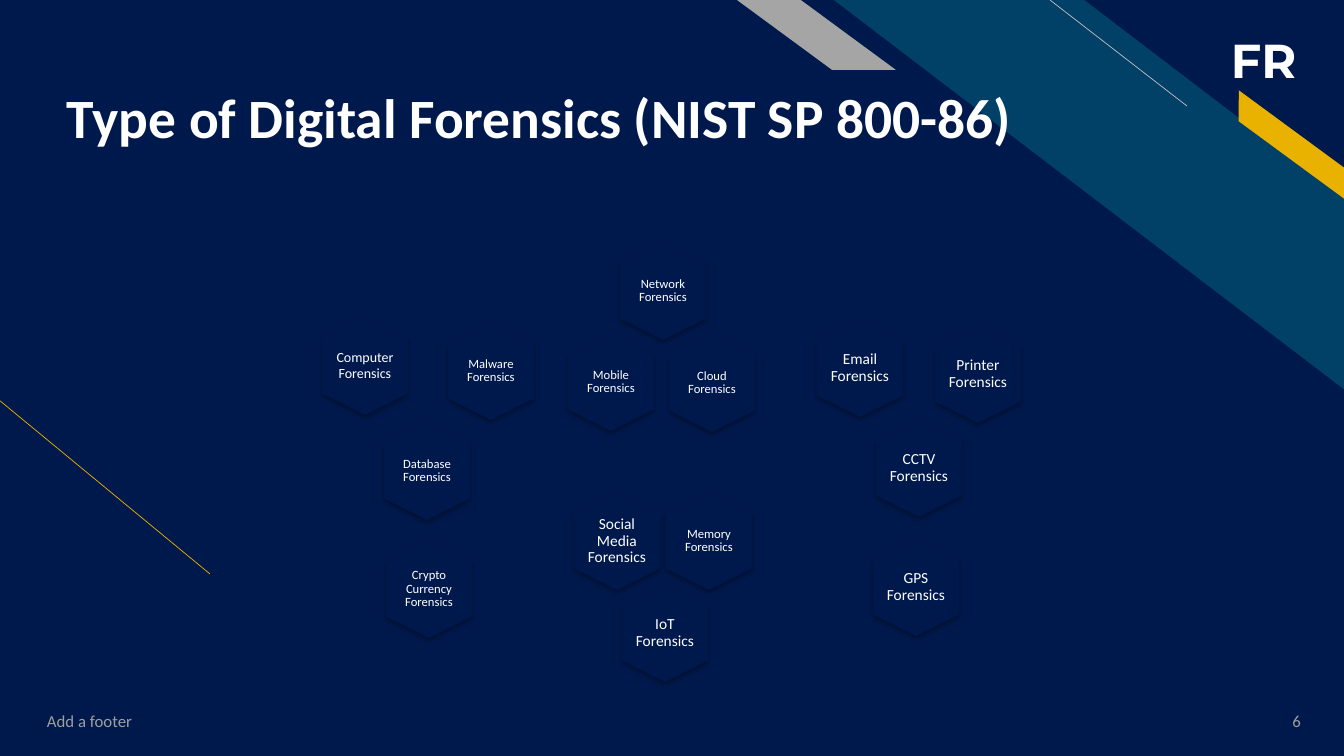
from typing import NamedTuple

from lxml import etree
from pptx import Presentation
from pptx.dml.color import RGBColor
from pptx.enum.shapes import MSO_CONNECTOR, MSO_SHAPE
from pptx.enum.text import MSO_ANCHOR, PP_ALIGN
from pptx.oxml.ns import qn
from pptx.util import Emu, Pt

EMU_PER_PX = 914400 / 100.8
COLORS = {
    "navy": "00194C", "teal": "014067", "gold": "EAB200", "silver": "BFBFBF",
    "grey": "A5A5A5", "footer": "9F9F9F", "white": "FFFFFF", "black": "000000",
}


class Box(NamedTuple):
    left: int
    top: int
    width: int
    height: int


class Stripe(NamedTuple):
    kind: MSO_SHAPE
    box: Box
    adjustment: float
    color: str
    rotation: float = 0


class Rule(NamedTuple):
    start: tuple[int, int]
    end: tuple[int, int]
    color: str


class Label(NamedTuple):
    text: str
    box: Box
    size: float
    color: str = "white"
    font: str = "Calibri"
    bold: bool = False
    align: PP_ALIGN = PP_ALIGN.LEFT
    anchor: MSO_ANCHOR = MSO_ANCHOR.MIDDLE
    insets: tuple[int, int, int, int] = (10, 5, 10, 5)
    spacing: float = 1.0
    wrap: bool = True


class Field(NamedTuple):
    name: str
    left: int
    top: int
    size: int


def px(value: float) -> Emu:
    return Emu(round(value * EMU_PER_PX))


def rgb(name: str) -> RGBColor:
    return RGBColor.from_string(COLORS[name])


def add_filled(kind: MSO_SHAPE, box: Box, adjustment: float, color: str, rotation: float):
    shape = slide.shapes.add_shape(kind, *map(px, box))
    shape.adjustments[0] = adjustment
    shape.rotation = rotation
    shape.fill.solid()
    shape.fill.fore_color.rgb = rgb(color)
    shape.line.fill.background()
    shape.shadow.inherit = False
    return shape


def add_stripe(stripe: Stripe) -> None:
    shape = add_filled(stripe.kind, stripe.box, stripe.adjustment, stripe.color, stripe.rotation)
    shape.element.spPr.get_or_add_xfrm().set("flipH", "1")


def add_rule(rule: Rule) -> None:
    line = slide.shapes.add_connector(MSO_CONNECTOR.STRAIGHT, *map(px, rule.start + rule.end))
    line.line.color.rgb = rgb(rule.color)
    line.line.width = Pt(0.5)
    etree.SubElement(line.element.spPr, qn("a:effectLst"))


def add_label(label: Label) -> None:
    frame = slide.shapes.add_textbox(*map(px, label.box)).text_frame
    frame.word_wrap = label.wrap
    frame.vertical_anchor = label.anchor
    (frame.margin_left, frame.margin_top,
     frame.margin_right, frame.margin_bottom) = map(px, label.insets)
    paragraph = frame.paragraphs[0]
    paragraph.alignment = label.align
    paragraph.line_spacing = label.spacing
    run = paragraph.add_run()
    run.text = label.text
    run.font.name = label.font
    run.font.size = Pt(label.size)
    run.font.bold = label.bold
    run.font.color.rgb = rgb(label.color)


def add_soft_shadow(shape) -> None:
    effects = shape.element.spPr.find(qn("a:effectLst"))
    shadow = etree.SubElement(effects, qn("a:outerShdw"), blurRad=str(Pt(3.5)),
                              dist=str(Pt(2.2)), dir="5400000", algn="ctr", rotWithShape="0")
    color = etree.SubElement(shadow, qn("a:srgbClr"), val=COLORS["black"])
    etree.SubElement(color, qn("a:alpha"), val="32000")


def add_field(field: Field) -> None:
    hexagon = add_filled(MSO_SHAPE.HEXAGON, Box(field.left, field.top, 98, 86), 0.25, "navy", 90)
    add_soft_shadow(hexagon)
    inset = 4 if field.size == 9 else 0
    add_label(Label(f"{field.name} Forensics", Box(field.left + 19, field.top + 9, 60, 68),
                    field.size, align=PP_ALIGN.CENTER, insets=(inset,) * 4, spacing=0.9))


prs = Presentation()
prs.slide_width, prs.slide_height = px(1344), px(756)
slide = prs.slides.add_slide(prs.slide_layouts[6])
slide.background.fill.solid()
slide.background.fill.fore_color.rgb = rgb("navy")

# Diagonal decoration
STRIPES = [
    Stripe(MSO_SHAPE.DIAGONAL_STRIPE, Box(834, 0, 511, 390), 0.51, "teal"),
    Stripe(MSO_SHAPE.PARALLELOGRAM, Box(1217, 132, 149, 25), 0.72, "gold", 36.3),
    Stripe(MSO_SHAPE.PARALLELOGRAM, Box(737, 0, 159, 70), 1.36, "grey"),
]
RULES = [
    Rule((210, 574), (-1, 400), "gold"),
    Rule((1187, 106), (1050, 0), "silver"),
]
for stripe in STRIPES:
    add_stripe(stripe)
for rule in RULES:
    add_rule(rule)

# Initials, title and footer
LABELS = [
    Label("FR", Box(1221, 26, 90, 68), 34, font="Montserrat", bold=True,
          anchor=MSO_ANCHOR.TOP, wrap=False),
    Label("Type of Digital Forensics (NIST SP 800-86)", Box(57, 23, 990, 127), 39.6,
          bold=True, anchor=MSO_ANCHOR.BOTTOM, insets=(10, 5, 10, 0), spacing=0.9),
    Label("Add a footer", Box(37, 701, 454, 40), 12, "footer"),
    Label("6", Box(1229, 701, 82, 40), 12, "footer", align=PP_ALIGN.RIGHT),
]
for label in LABELS:
    add_label(label)

# Forensics fields
FIELDS = [
    Field("Crypto Currency", 380, 546, 9),
    Field("GPS", 867, 544, 11),
    Field("Network", 614, 248, 9),
    Field("IoT", 616, 590, 11),
    Field("Malware", 442, 328, 9),
    Field("Computer", 316, 323, 10),
    Field("Cloud", 663, 340, 9),
    Field("Email", 811, 325, 11),
    Field("Memory", 660, 498, 9),
    Field("Social Media", 568, 498, 11),
    Field("Mobile", 562, 339, 9),
    Field("Printer", 929, 331, 11),
    Field("Database", 378, 428, 9),
    Field("CCTV", 870, 425, 11),
]
for field in FIELDS:
    add_field(field)

prs.save("out.pptx")
